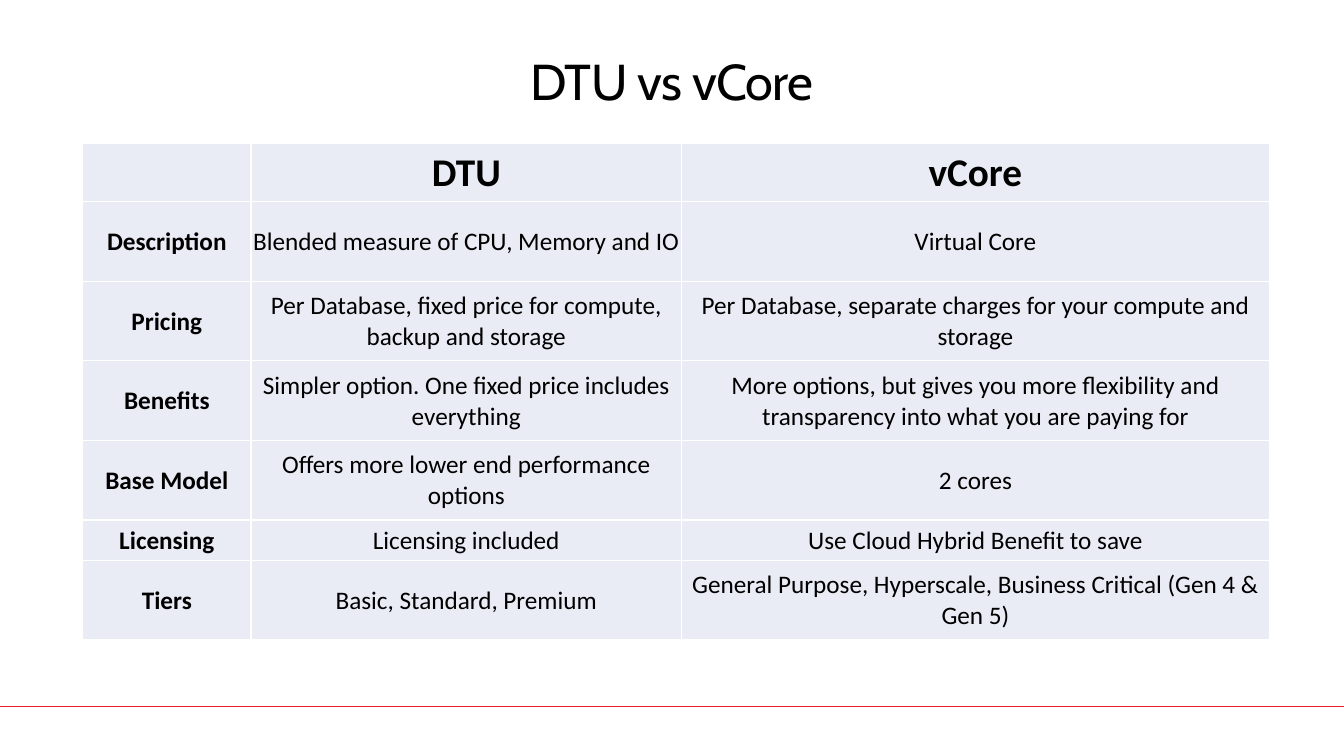
from lxml import etree
from pptx import Presentation, util as u
from pptx.dml.color import RGBColor
from pptx.enum import shapes, text
from pptx.oxml.ns import qn

HEADER = ("", "DTU", "vCore")
COMPARISON = (
    ("Description", "Blended measure of CPU, Memory and IO", "Virtual Core"),
    ("Pricing", "Per Database, fixed price for compute, backup and storage",
     "Per Database, separate charges for your compute and storage"),
    ("Benefits", "Simpler option. One fixed price includes everything",
     "More options, but gives you more flexibility and transparency "
     "into what you are paying for"),
    ("Base Model", "Offers more lower end performance options", "2 cores"),
    ("Licensing", "Licensing included", "Use Cloud Hybrid Benefit to save"),
    ("Tiers", "Basic, Standard, Premium",
     "General Purpose, Hyperscale, Business Critical (Gen 4 & Gen 5)"),
)
COLUMN_WIDTHS = (1.67, 4.27, 5.83)
ROW_HEIGHTS = (0.58, 0.79, 0.79, 0.79, 0.79, 0.4, 0.79)


def color(value):
    return RGBColor.from_string(value)


def write(frame, content, font="Calibri", size=18, bold=False, ink="000000", spacing=None):
    """Put one centred line of text in a frame."""
    paragraph = frame.paragraphs[0]
    paragraph.alignment = text.PP_ALIGN.CENTER
    paragraph.font.size = u.Pt(size)
    if not content:
        return
    run = paragraph.add_run()
    run.text = content
    run.font.name = font
    run.font.size = u.Pt(size)
    run.font.bold = bold
    run.font.color.rgb = color(ink)
    if spacing is not None:
        run.font._element.set("spc", str(round(spacing * 100)))


class ComparisonSlide:
    accent = "E71D32"
    cell_fill = "E9EBF5"
    border = "FFFFFF"

    def __init__(self, presentation):
        self.slide = presentation.slides.add_slide(presentation.slide_layouts[6])

    def rule(self, left, right, top):
        line = self.slide.shapes.add_connector(
            shapes.MSO_CONNECTOR.STRAIGHT,
            u.Inches(left), u.Inches(top), u.Inches(right), u.Inches(top))
        line.line.color.rgb = color(self.accent)
        line.line.width = u.Pt(1)
        etree.SubElement(line._element.spPr, qn("a:effectLst"))

    def title(self, content, left, top, width, height):
        box = self.slide.shapes.add_textbox(
            u.Inches(left), u.Inches(top), u.Inches(width), u.Inches(height))
        frame = box.text_frame
        frame.word_wrap = True
        frame.margin_left = frame.margin_right = 0
        frame.margin_top = frame.margin_bottom = 0
        write(frame, content, font="Cabin", size=36, spacing=-0.5)

    def table(self, rows, left, top):
        frame = self.slide.shapes.add_table(
            len(ROW_HEIGHTS), len(COLUMN_WIDTHS), u.Inches(left), u.Inches(top),
            u.Inches(sum(COLUMN_WIDTHS)), u.Inches(sum(ROW_HEIGHTS)))
        table = frame.table
        for column, width in zip(table.columns, COLUMN_WIDTHS):
            column.width = u.Inches(width)
        for row, height in zip(table.rows, ROW_HEIGHTS):
            row.height = u.Inches(height)
        for i, row in enumerate(rows):
            for j, content in enumerate(row):
                self.cell(table.cell(i, j), content,
                          size=28 if i == 0 else 18, bold=i == 0 or j == 0)

    def cell(self, cell, content, size, bold):
        cell.vertical_anchor = text.MSO_ANCHOR.MIDDLE
        cell.margin_left = cell.margin_right = cell.margin_top = u.Inches(0.01)
        cell.margin_bottom = 0
        write(cell.text_frame, content, size=size, bold=bold)
        # Borders come before the fill in the cell properties
        properties = cell._tc.get_or_add_tcPr()
        for side in ("lnL", "lnR", "lnT", "lnB"):
            line = etree.SubElement(properties, qn(f"a:{side}"), w=str(u.Pt(1)))
            fill = etree.SubElement(line, qn("a:solidFill"))
            etree.SubElement(fill, qn("a:srgbClr"), val=self.border)
        cell.fill.solid()
        cell.fill.fore_color.rgb = color(self.cell_fill)


def main():
    presentation = Presentation()
    presentation.slide_width = u.Inches(13.33)
    presentation.slide_height = u.Inches(7.5)
    page = ComparisonSlide(presentation)

    # Footer rule
    page.rule(0, 13.33, 7.01)
    # Title
    page.title("DTU vs vCore", 0.64, 0.5, 12.05, 0.61)
    # Comparison table
    page.table((HEADER, *COMPARISON), 0.82, 1.42)

    presentation.save("out.pptx")


if __name__ == "__main__":
    main()
